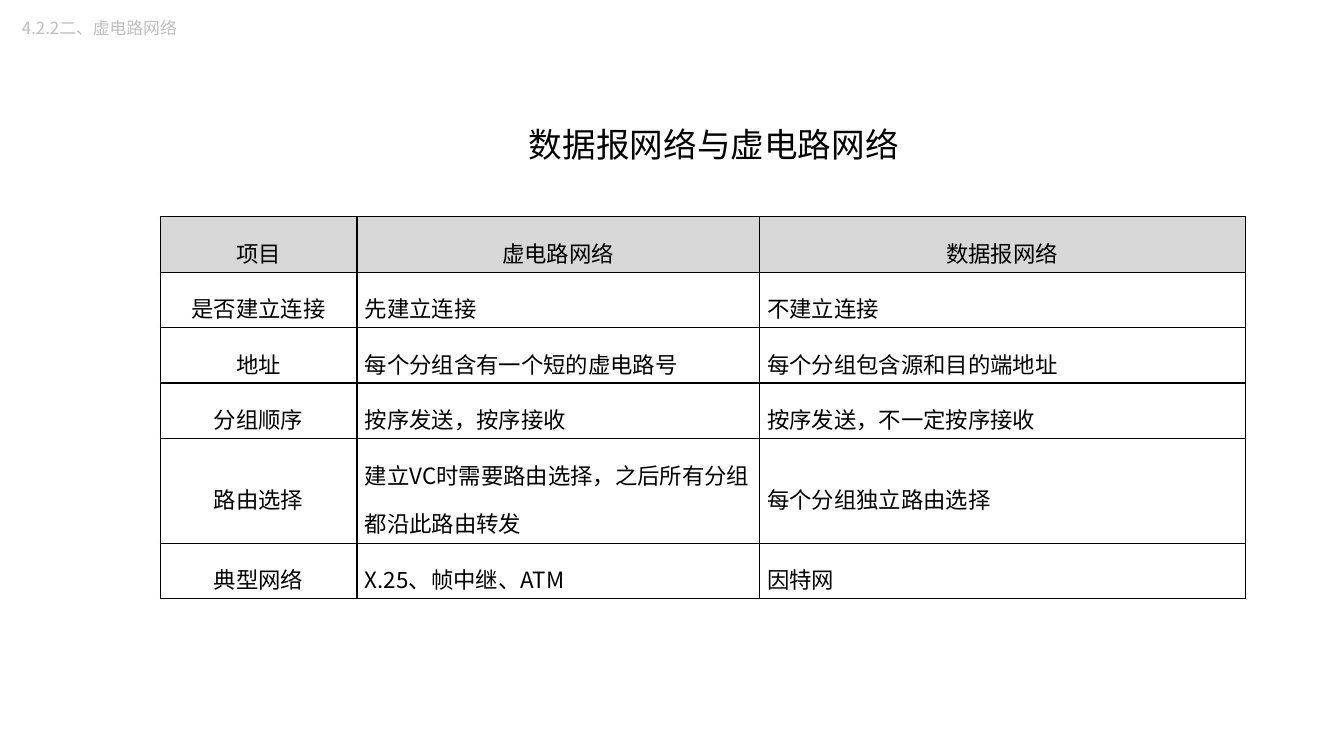
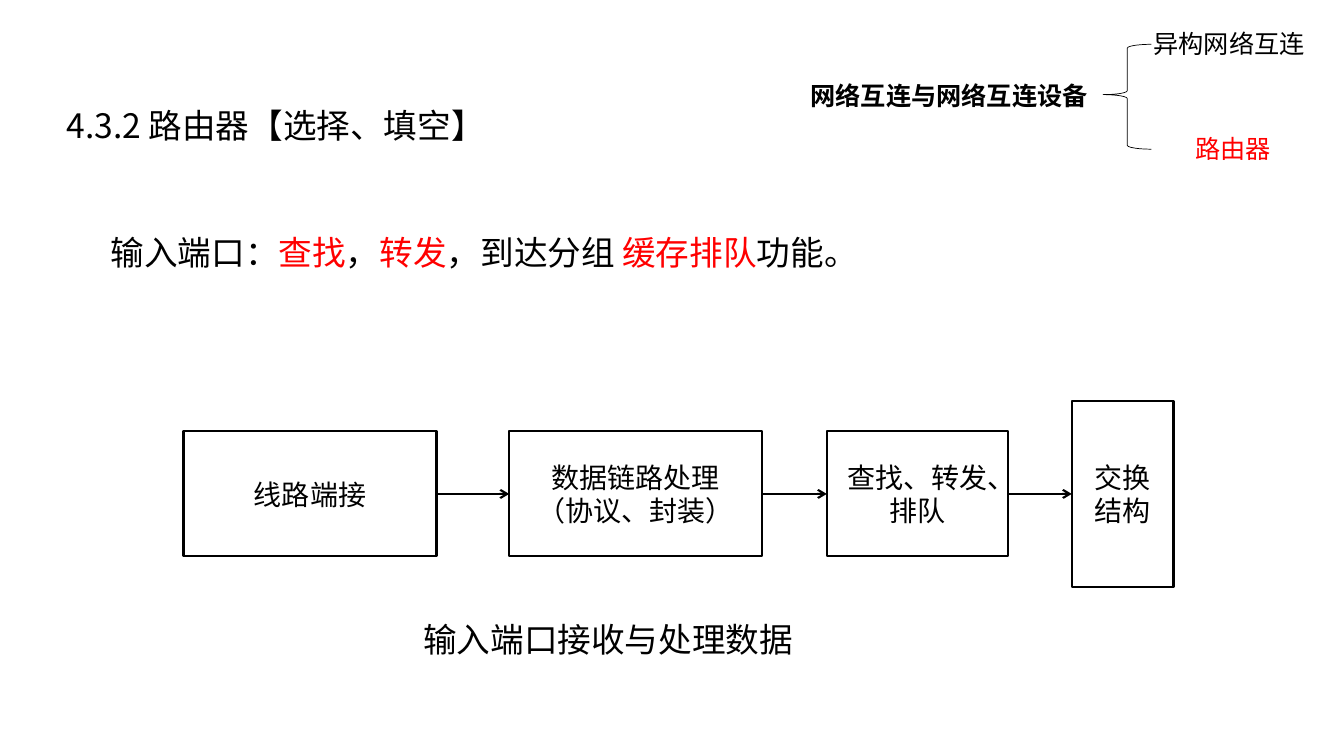
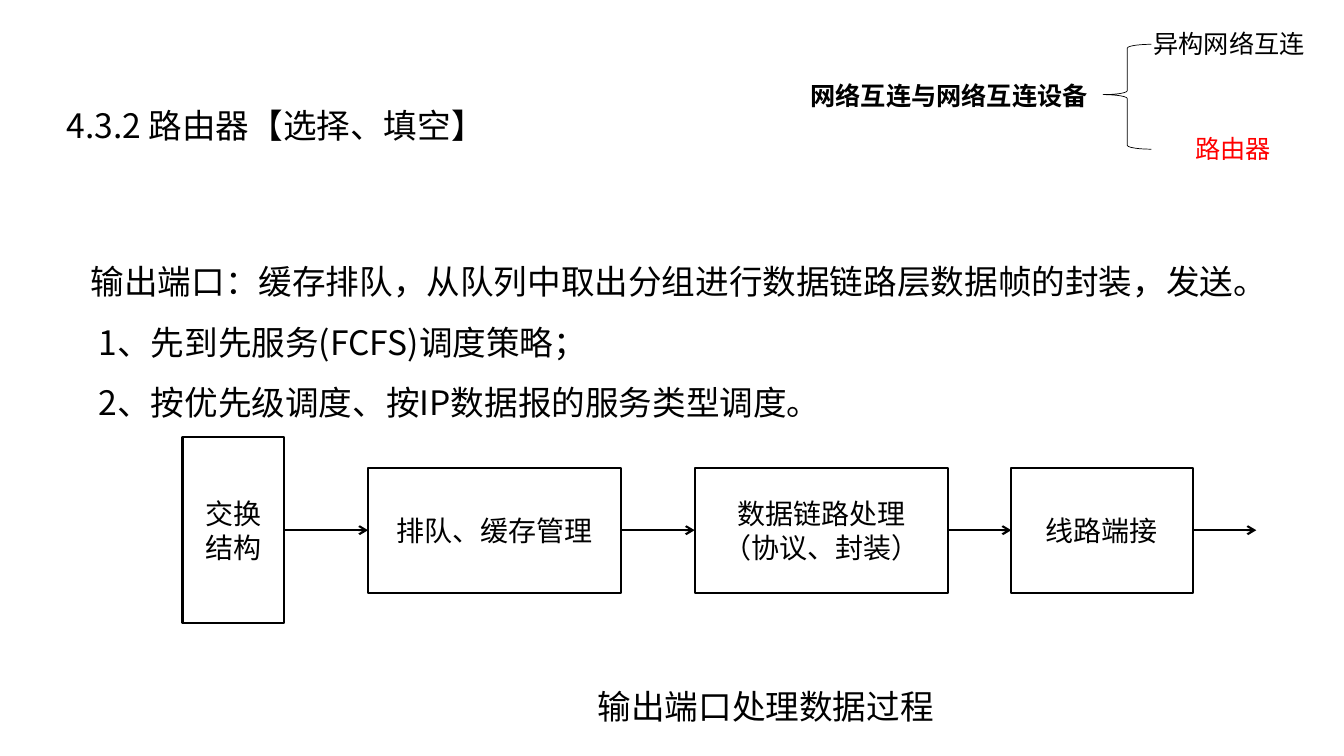
"""Build three slides on virtual circuits and router ports."""
from itertools import pairwise
from lxml import etree
from pptx import Presentation
from pptx.dml.color import RGBColor
from pptx.enum.shapes import MSO_CONNECTOR, MSO_SHAPE
from pptx.enum.text import MSO_ANCHOR, PP_ALIGN
from pptx.oxml import parse_xml
from pptx.oxml.ns import nsdecls, qn
from pptx.util import Pt

PX = 9144
CJK = "Noto Sans CJK SC"
BLACK, RED, GREY, HEADER_FILL = "000000", "FF0000", "BFBFBF", "D7D7D7"
LEFT, CENTER = PP_ALIGN.LEFT, PP_ALIGN.CENTER
rgb = RGBColor.from_string


def style(frame, size, color=BLACK, align=LEFT, spacing=None, bold=False, latin=CJK):
    for paragraph in frame.paragraphs:
        paragraph.alignment = align
        paragraph.line_spacing = spacing
        for run in paragraph.runs:
            run.font.size = Pt(size)
            run.font.bold = bold
            run.font.name = latin
            run.font.color.rgb = rgb(color)
            etree.SubElement(run.font._element, qn("a:ea"), typeface=CJK)


def label(slide, text, place, size, wrap=True, inset=(10, 5), **look):
    frame = slide.shapes.add_textbox(*[n * PX for n in place]).text_frame
    frame.word_wrap = wrap
    frame.margin_left = frame.margin_right = inset[0] * PX
    frame.margin_top = frame.margin_bottom = inset[1] * PX
    frame.text = text
    style(frame, size, **look)
    return frame


prs = Presentation()
prs.slide_width, prs.slide_height = 1333 * PX, 750 * PX
comparison, input_port, output_port = [
    prs.slides.add_slide(prs.slide_layouts[6]) for _ in range(3)
]

label(comparison, "数据报网络与虚电路网络", (475, 97, 466, 66), 24,
      inset=(12, 6), align=CENTER, spacing=1.5)
rows = [
    ("项目", "虚电路网络", "数据报网络"),
    ("是否建立连接", "先建立连接", "不建立连接"),
    ("地址", "每个分组含有一个短的虚电路号", "每个分组包含源和目的端地址"),
    ("分组顺序", "按序发送，按序接收", "按序发送，不一定按序接收"),
    ("路由选择", "建立VC时需要路由选择，之后所有分组都沿此路由转发", "每个分组独立路由选择"),
    ("典型网络", "X.25、帧中继、ATM", "因特网"),
]
table = comparison.shapes.add_table(
    len(rows), 3, 159 * PX, 215 * PX, 1076 * PX, 380 * PX).table
for column, width in zip(table.columns, (195, 399, 482)):
    column.width = width * PX
for row, height in zip(table.rows, (55, 55, 55, 55, 104, 55)):
    row.height = height * PX
for r, texts in enumerate(rows):
    for c, text in enumerate(texts):
        cell = table.cell(r, c)
        cell.text = text
        cell.vertical_anchor = MSO_ANCHOR.MIDDLE
        cell.margin_left = cell.margin_right = 8 * PX
        cell.margin_top = cell.margin_bottom = 3 * PX
        style(cell.text_frame, 16, spacing=1.5, align=CENTER if r == 0 or c == 0 else LEFT)
        properties = cell._tc.get_or_add_tcPr()
        for side in ("lnL", "lnR", "lnT", "lnB"):
            properties.append(parse_xml(
                f'<a:{side} {nsdecls("a")} w="12700"><a:solidFill>'
                f'<a:srgbClr val="{BLACK}"/></a:solidFill></a:{side}>'))
        if r == 0:
            cell.fill.solid()
            cell.fill.fore_color.rgb = rgb(HEADER_FILL)
        else:
            cell.fill.background()
label(comparison, "4.2.2二、虚电路网络", (12, 13, 180, 30), 12, wrap=False, color=GREY)

for slide in (input_port, output_port):
    brace = slide.shapes.add_shape(
        MSO_SHAPE.LEFT_BRACE, 1094 * PX, 44 * PX, 48 * PX, 104 * PX)
    brace.adjustments[0], brace.adjustments[1] = 0.08, 0.48
    brace.shadow.inherit = False
    brace.fill.background()
    brace.line.color.rgb = rgb(BLACK)
    brace.line.width = Pt(0.5)
    label(slide, "异构网络互连", (1133, 31, 172, 33), 18, wrap=False,
          align=CENTER, spacing=Pt(16))
    label(slide, "路由器", (1175, 135, 96, 33), 18, wrap=False,
          color=RED, align=CENTER, spacing=Pt(16))
    label(slide, "网络互连与网络互连设备", (794, 75, 300, 40), 18, wrap=False, bold=True)
    section = label(slide, "4.3.2 路由器【选择、填空】", (54, 62, 550, 104), 24,
                    inset=(12, 6), spacing=1.5)
    section.vertical_anchor = MSO_ANCHOR.MIDDLE

duties = label(input_port, "输入端口：", (100, 205, 1178, 131), 24, spacing=1.5)
for text in ("查找", "，", "转发", "，到达分组 ", "缓存排队", "功能。"):
    duties.paragraphs[0].add_run().text = text
style(duties, 24, spacing=1.5)
for duty in duties.paragraphs[0].runs[1::2]:
    duty.font.color.rgb = rgb(RED)
label(input_port, "输入端口接收与处理数据", (410, 598, 514, 62), 24, spacing=Pt(37))

scheduling = label(
    output_port,
    "输出端口：缓存排队，从队列中取出分组进行数据链路层数据帧的封装，发送。\n"
    "1、先到先服务(FCFS)调度策略；\n"
    "2、按优先级调度、按IP数据报的服务类型调度。",
    (80, 234, 1192, 192), 24, spacing=1.5)
for policy in scheduling.paragraphs[1:]:
    policy._p.get_or_add_pPr().set("marL", str(8 * PX))
label(output_port, "输出端口处理数据过程", (583, 664, 433, 62), 24, spacing=Pt(37))

link_stage = "数据链路处理\n（协议、封装）"
pipelines = [
    (input_port, 490, [("线路端接", 182, 251, 124), (link_stage, 505, 251, 124),
                       ("查找、转发、排队", 820, 180, 124), ("交换结构", 1063, 101, 184)]),
    (output_port, 526, [("交换结构", 181, 101, 184), ("排队、缓存管理", 365, 251, 124),
                        (link_stage, 689, 251, 124), ("线路端接", 1003, 180, 124)]),
]
for slide, middle, stages in pipelines:
    boxes = []
    for text, left, width, height in stages:
        box = slide.shapes.add_shape(
            MSO_SHAPE.RECTANGLE, left * PX, (middle - height // 2) * PX,
            width * PX, height * PX)
        box.shadow.inherit = False
        box.fill.background()
        box.line.color.rgb = rgb(BLACK)
        box.line.width = Pt(1.5)
        box.text_frame.text = text
        box.text_frame.word_wrap = True
        box.text_frame.vertical_anchor = MSO_ANCHOR.MIDDLE
        style(box.text_frame, 20, align=CENTER, latin="Arial")
        boxes.append(box)
    links = list(pairwise(boxes))
    if slide is output_port:
        links.append((boxes[-1], None))
    for source, target in links:
        arrow = slide.shapes.add_connector(
            MSO_CONNECTOR.STRAIGHT, 1183 * PX, middle * PX, 1246 * PX, middle * PX)
        arrow.begin_connect(source, 3)
        if target is not None:
            arrow.end_connect(target, 1)
        arrow.line.color.rgb = rgb(BLACK)
        arrow.line.width = Pt(1.5)
        etree.SubElement(arrow.line._get_or_add_ln(), qn("a:tailEnd"), type="arrow")
        etree.SubElement(arrow._element.spPr, qn("a:effectLst"))

prs.save("out.pptx")
